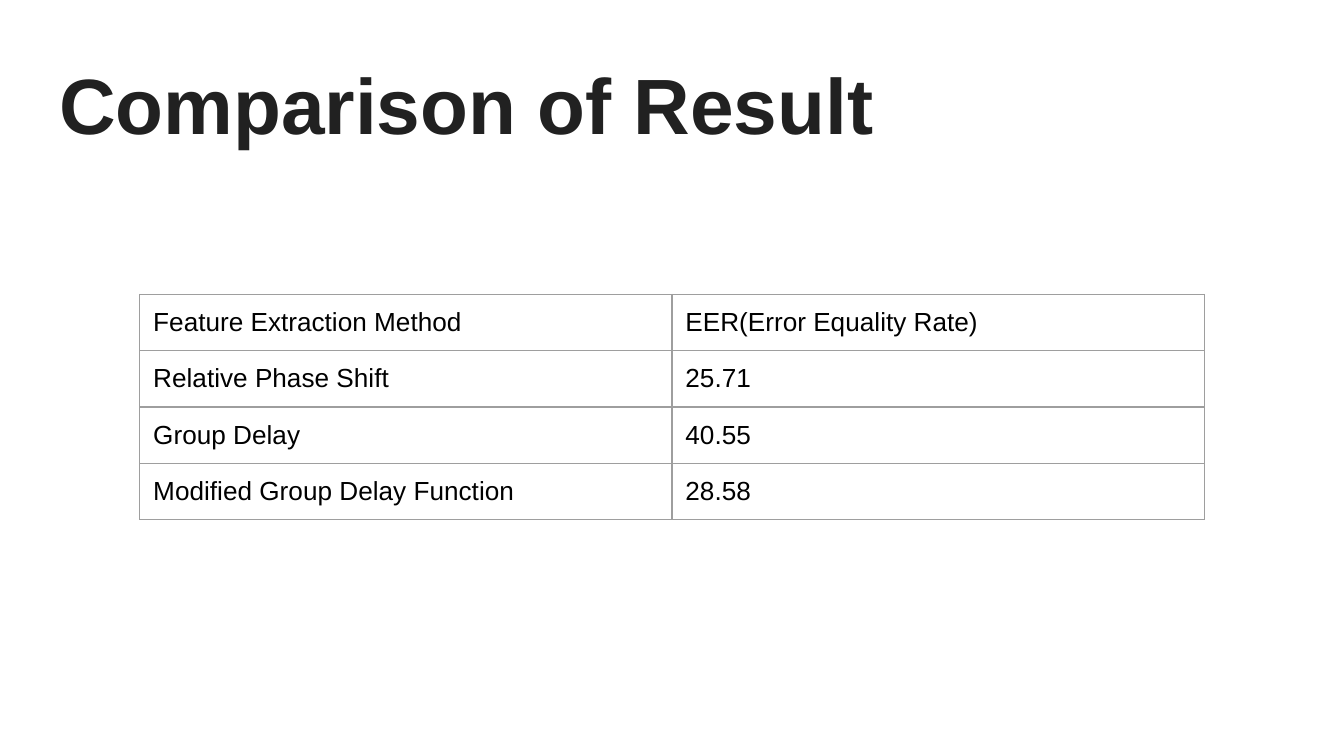
from dataclasses import dataclass

from lxml import etree
from pptx import Presentation
from pptx import util as u
from pptx.dml import color
from pptx.enum import text
from pptx.oxml import ns


@dataclass(frozen=True)
class Theme:
    font: str = "Arial"
    title_color: str = "212121"
    body_color: str = "000000"
    border_color: str = "9E9E9E"
    title_size: float = 42
    body_size: float = 14
    border_width: float = 0.75
    inset: float = 0.1


THEME = Theme()
PAGE_WIDTH = 10
PAGE_HEIGHT = PAGE_WIDTH * 9 / 16

RESULTS = [
    ("Feature Extraction Method", "EER(Error Equality Rate)"),
    ("Relative Phase Shift", "25.71"),
    ("Group Delay", "40.55"),
    ("Modified Group Delay Function", "28.58"),
]


def write_text(frame, wording, *, size, ink, bold=False):
    frame.word_wrap = True
    para = frame.paragraphs[0]
    para.alignment = text.PP_ALIGN.LEFT
    span = para.add_run()
    span.text = wording
    span.font.name = THEME.font
    span.font.size = u.Pt(size)
    span.font.bold = bold
    span.font.color.rgb = color.RGBColor.from_string(ink)


def set_insets(holder):
    for side in ("left", "top", "right", "bottom"):
        setattr(holder, f"margin_{side}", u.Inches(THEME.inset))


def add_borders(cell):
    properties = cell._tc.get_or_add_tcPr()
    # Border lines come before the fill in the cell properties
    for index, side in enumerate(("lnL", "lnR", "lnT", "lnB")):
        line = etree.Element(ns.qn(f"a:{side}"), w=str(u.Pt(THEME.border_width)))
        fill = etree.SubElement(line, ns.qn("a:solidFill"))
        etree.SubElement(fill, ns.qn("a:srgbClr"), val=THEME.border_color)
        properties.insert(index, line)


def place_title(page, box, wording):
    title = page.shapes.title
    title.left, title.top, title.width, title.height = map(u.Inches, box)
    frame = title.text_frame
    set_insets(frame)
    frame.vertical_anchor = text.MSO_ANCHOR.TOP
    frame.auto_size = text.MSO_AUTO_SIZE.NONE
    write_text(frame, wording, size=THEME.title_size,
               ink=THEME.title_color, bold=True)


def place_table(page, box, rows):
    # Columns and rows share the box equally
    table = page.shapes.add_table(
        len(rows), len(rows[0]), *map(u.Inches, box)).table
    table.first_row = table.horz_banding = False
    for row, wordings in enumerate(rows):
        for column, wording in enumerate(wordings):
            cell = table.cell(row, column)
            set_insets(cell)
            cell.fill.background()
            add_borders(cell)
            write_text(cell.text_frame, wording, size=THEME.body_size,
                       ink=THEME.body_color)


def main():
    deck = Presentation()
    deck.slide_width, deck.slide_height = map(u.Inches, (PAGE_WIDTH, PAGE_HEIGHT))
    page = deck.slides.add_slide(deck.slide_layouts.get_by_name("Title Only"))
    place_title(page, (0.34, 0.32, 9.32, 0.88), "Comparison of Result")
    place_table(page, (1.04, 2.19, 7.92, 1.66), RESULTS)
    deck.save("out.pptx")


if __name__ == "__main__":
    main()
